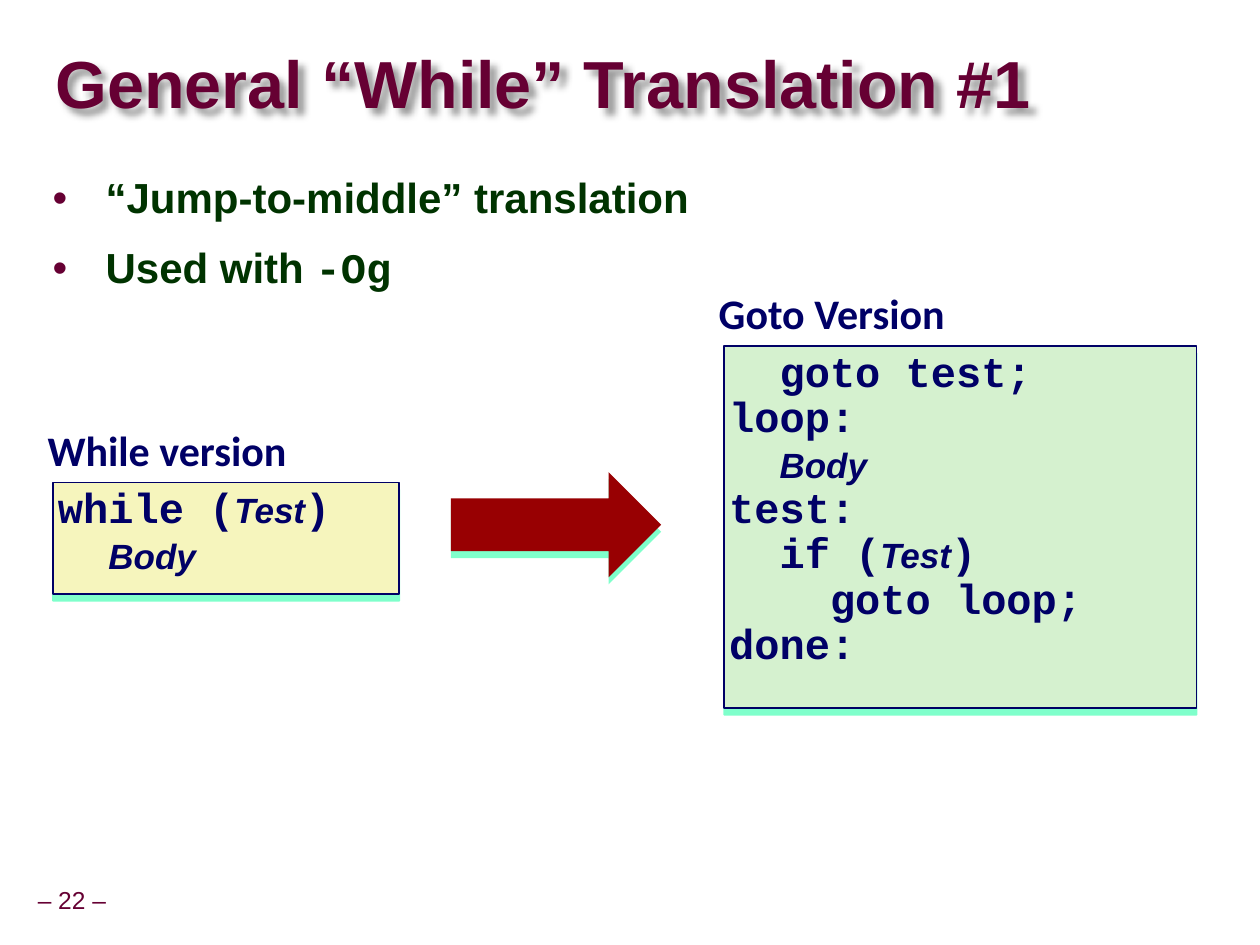
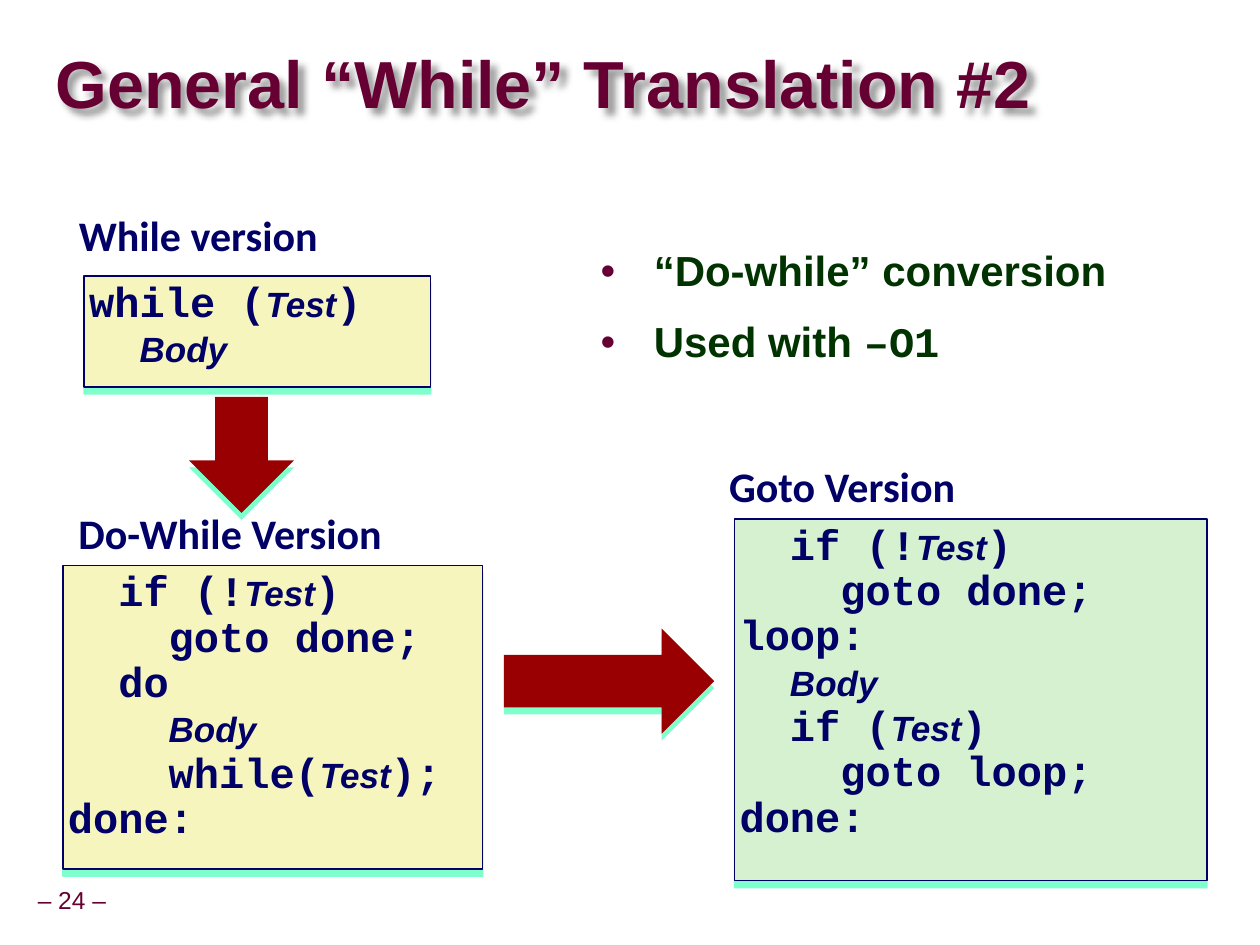
from pptx import Presentation
from pptx.dml.color import RGBColor
from pptx.enum.shapes import MSO_SHAPE
from pptx.enum.text import MSO_ANCHOR, PP_ALIGN
from pptx.oxml import parse_xml
from pptx.oxml.ns import nsdecls, qn
from pptx.util import Cm, Pt

MAROON, GREEN, NAVY, RED = "660033", "003300", "000066", "980002"
YELLOW, MINT, GLOW, BLACK = "F6F5BD", "D5F1CF", "00FF99", "000000"
SANS, LABEL, MONO = "Arial", "Calibri", "Courier New"

LABEL_SHIFT = (-0.21, -1.16)
SMALL_BOX, WIDE_BOX, GOTO_BOX = (6.98, 2.24), (8.46, 6.12), (9.52, 7.29)
RIGHT, DOWN = MSO_SHAPE.RIGHT_ARROW, MSO_SHAPE.DOWN_ARROW
RIGHT_SIZE, DOWN_SIZE = (4.24, 2.12), (2.12, 2.34)

WHILE_CODE = ["while (*Test*)", "  *Body*"]
SLIDES = [
    {
        "number": 22,
        "title": "General “While” Translation #1",
        "bullets": ["“Jump-to-middle” translation", "Used with *-Og*"],
        "bullet_place": (0.81, 3.4, 23.09, 3.81),
        "blocks": [
            {"label": "While version", "at": (1.07, 9.73), "size": SMALL_BOX,
             "fill": YELLOW, "code": WHILE_CODE},
            {"label": "Goto Version", "at": (14.6, 6.98), "size": GOTO_BOX,
             "fill": MINT,
             "code": ["  goto test;", "loop:", "  *Body*", "test:",
                      "  if (*Test*)", "    goto loop;", "done:"]},
        ],
        "arrows": [(RIGHT, (9.09, 9.52), RIGHT_SIZE)],
    },
    {
        "number": 24,
        "title": "General “While” Translation #2",
        "bullets": ["“Do-while” conversion", "Used with *–O1*"],
        "bullet_place": (11.86, 4.88, 12.27, 11.1),
        "blocks": [
            {"label": "While version", "at": (1.7, 5.56), "size": SMALL_BOX,
             "fill": YELLOW, "code": WHILE_CODE, "shift": (-0.21, -1.32)},
            {"label": "Do-While Version", "at": (1.27, 11.4), "size": WIDE_BOX,
             "fill": YELLOW, "shift": (0.21, -1.16),
             "code": ["  if (!*Test*)", "    goto done;", "  do", "    *Body*",
                      "    while(*Test*);", "done:"]},
            {"label": "Goto Version", "at": (14.81, 10.46), "size": GOTO_BOX,
             "fill": MINT,
             "code": ["  if (!*Test*)", "    goto done;", "loop:", "  *Body*",
                      "  if (*Test*)", "    goto loop;", "done:"]},
        ],
        "arrows": [(DOWN, (3.81, 8), DOWN_SIZE), (RIGHT, (10.16, 12.67), RIGHT_SIZE)],
    },
]


def color(value):
    return RGBColor.from_string(value)


def lengths(place):
    return [Cm(value) for value in place]


def add_shadow(shape, value, opacity, angle, blur=0):
    shape.shadow.inherit = False
    effects = shape._element.spPr.find(qn("a:effectLst"))
    effects.append(parse_xml(
        f'<a:outerShdw {nsdecls("a")} blurRad="{Pt(blur)}" dist="{Pt(4)}" '
        f'dir="{angle * 60000}" algn="ctr" rotWithShape="0">'
        f'<a:srgbClr val="{value}"><a:alpha val="{opacity * 1000}"/></a:srgbClr>'
        '</a:outerShdw>'))


def add_bullet(paragraph, indent=1.07):
    properties = paragraph._p.get_or_add_pPr()
    properties.set("marL", str(Cm(indent)))
    properties.set("indent", str(-Cm(indent)))
    for inner in (f'<a:buClr {nsdecls("a")}><a:srgbClr val="{MAROON}"/></a:buClr>',
                  f'<a:buFont {nsdecls("a")} typeface="{SANS}"/>',
                  f'<a:buChar {nsdecls("a")} char="•"/>'):
        properties.append(parse_xml(inner))


def write(shape, lines, *, font=SANS, size=24, ink=NAVY, bold=True, accent=None,
          spacing=0.9, gap=0, bullet=False, anchor=MSO_ANCHOR.TOP,
          align=PP_ALIGN.LEFT, inset=(0.1, 0.1), wrap=True):
    frame = shape.text_frame
    frame.word_wrap = wrap
    frame.vertical_anchor = anchor
    frame.margin_left = frame.margin_right = Cm(inset[0])
    frame.margin_top = frame.margin_bottom = Cm(inset[1])
    accent_font, accent_size, accent_italic = accent or (font, size, False)
    for index, line in enumerate(lines):
        paragraph = frame.add_paragraph() if index else frame.paragraphs[0]
        if bullet:
            add_bullet(paragraph)
        paragraph.alignment = align
        paragraph.line_spacing = spacing
        if index and gap:
            paragraph.space_before = Pt(gap)
        for position, text in enumerate(line.split("*")):
            if not text:
                continue
            marked = position % 2 == 1
            span = paragraph.add_run()
            span.text = text
            span.font.name = accent_font if marked else font
            span.font.size = Pt(accent_size if marked else size)
            span.font.italic = marked and accent_italic
            span.font.bold = bold
            span.font.color.rgb = color(ink)


def add_text(page, place, lines, **style):
    box = page.shapes.add_textbox(*lengths(place))
    write(box, lines, **style)
    return box


def add_solid(page, kind, place, fill, outline=None):
    shape = page.shapes.add_shape(kind, *lengths(place))
    shape.fill.solid()
    shape.fill.fore_color.rgb = color(fill)
    if outline:
        shape.line.color.rgb = color(outline)
        shape.line.width = Pt(1)
    else:
        shape.line.fill.background()
    add_shadow(shape, GLOW, 50, 90)
    return shape


def add_block(page, block):
    left, top = block["at"]
    right_by, down_by = block.get("shift", LABEL_SHIFT)
    add_text(page, (left + right_by, top + down_by, 8.08, 1.24),
             [block["label"]], font=LABEL)
    box = add_solid(page, MSO_SHAPE.RECTANGLE, block["at"] + block["size"],
                    block["fill"], NAVY)
    write(box, block["code"], font=MONO, accent=(SANS, 20, True))


def add_frame(page, title, number):
    add_text(page, (0.61, 17.78, 1.68, 0.79), [f"– {number} –"], size=14, ink=MAROON,
             bold=False, anchor=MSO_ANCHOR.MIDDLE, align=PP_ALIGN.CENTER,
             inset=(0.13, 0.13), wrap=False)
    heading = add_text(page, (1.12, 0.69, 24.21, 2.16), [title], size=38, ink=MAROON,
                       spacing=0.87, anchor=MSO_ANCHOR.MIDDLE, inset=(0, 0))
    add_shadow(heading, BLACK, 40, 45, blur=4)


def main():
    deck = Presentation()
    deck.slide_width, deck.slide_height = Cm(25.4), Cm(19.05)
    for content in SLIDES:
        page = deck.slides.add_slide(deck.slide_layouts[6])
        add_frame(page, content["title"], content["number"])
        add_text(page, content["bullet_place"], content["bullets"], ink=GREEN,
                 accent=(MONO, 24, False), spacing=0.95, gap=13, bullet=True,
                 inset=(0.25, 0.13))
        for block in content["blocks"]:
            add_block(page, block)
        for kind, at, size in content["arrows"]:
            add_solid(page, kind, at + size, RED)
    deck.save("out.pptx")


if __name__ == "__main__":
    main()
